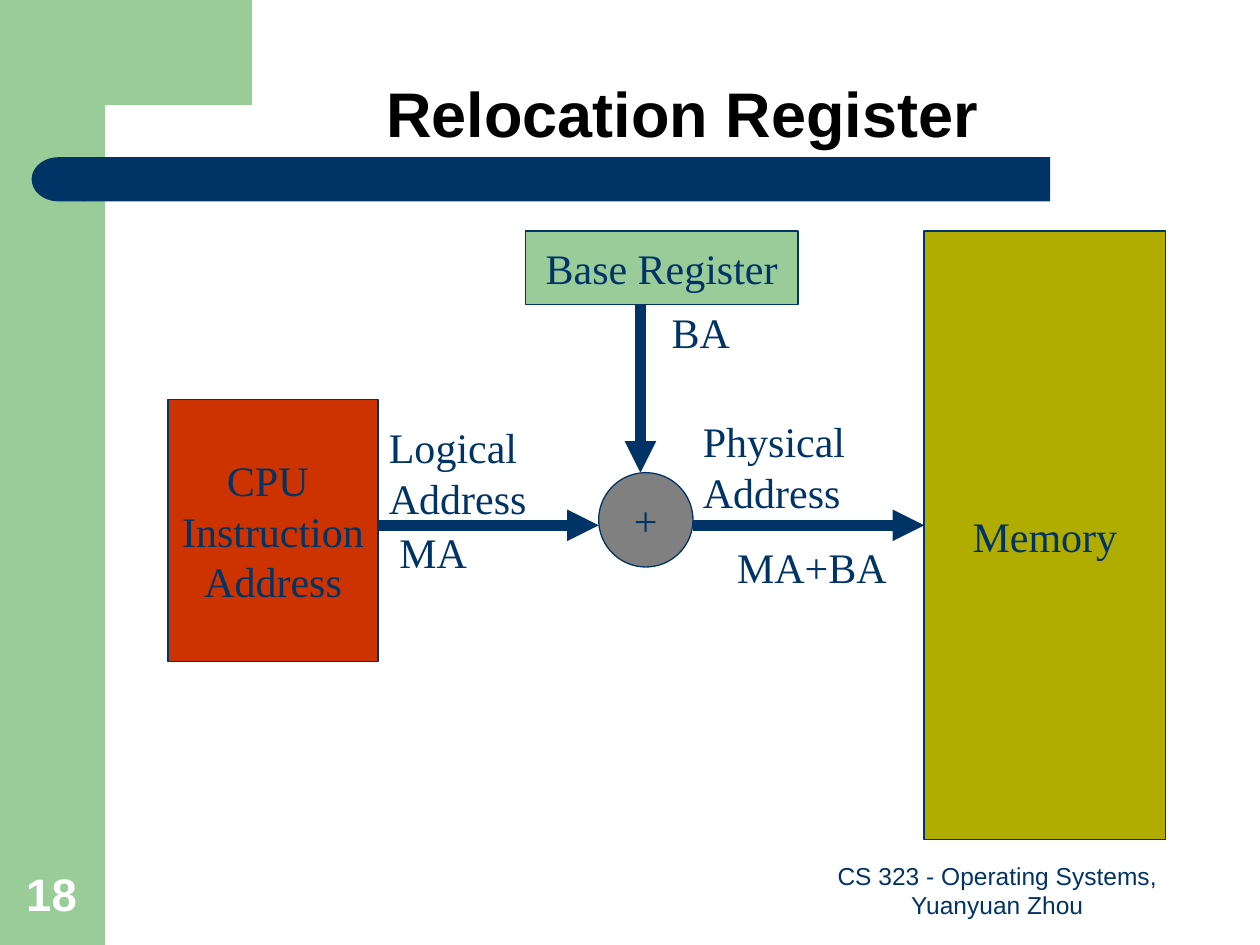
from collections import namedtuple
from dataclasses import dataclass

from lxml.etree import SubElement
from pptx import Presentation
from pptx.dml.color import RGBColor
from pptx.enum.shapes import MSO_CONNECTOR as CONN, MSO_SHAPE as SHAPE
from pptx.enum.text import MSO_ANCHOR as ANCHOR, MSO_AUTO_SIZE as AUTO, PP_ALIGN as ALIGN
from pptx.oxml.ns import qn
from pptx.util import Cm, Pt

Box = namedtuple("Box", "x y w h")  # centimetres


@dataclass(frozen=True)
class Theme:
    navy: str = "003366"
    green: str = "99CC99"
    olive: str = "B0AC00"
    red: str = "CC3300"
    gray: str = "808080"
    black: str = "000000"
    white: str = "FFFFFF"
    sans: str = "Arial"
    serif: str = "Times New Roman"
    title_size: int = 36
    body_size: int = 24
    footer_size: int = 14
    number_size: int = 26
    outline: float = 0.75
    arrow: float = 6


T = Theme()


def rgb(color):
    return RGBColor.from_string(color)


def place(box, x, y, w, h):
    """Turn a position inside box into slide lengths."""
    return Cm(box.x + x), Cm(box.y + y), Cm(w), Cm(h)


def write(tf, text, size=T.body_size, font=T.serif, color=T.navy,
          bold=False, align=ALIGN.LEFT, anchor=ANCHOR.TOP, wrap=False):
    tf.text = text
    tf.word_wrap = wrap
    tf.vertical_anchor = anchor
    for p in tf.paragraphs:
        p.alignment = align
        p.font.name, p.font.size, p.font.bold = font, Pt(size), bold
        p.font.color.rgb = rgb(color)


def paint(sp, fill, line=None):
    sp.shadow.inherit = False
    sp.fill.solid()
    sp.fill.fore_color.rgb = rgb(fill)
    if line:
        sp.line.color.rgb = rgb(line)
        sp.line.width = Pt(T.outline)
    else:
        sp.line.fill.background()


def add_arrow(slide, box, x1, y1, x2, y2):
    ln = slide.shapes.add_connector(CONN.STRAIGHT, *place(box, x1, y1, 0, 0)[:2],
                                    *place(box, x2, y2, 0, 0)[:2])
    ln.line.color.rgb = rgb(T.navy)
    ln.line.width = Pt(T.arrow)
    props = ln._element.spPr
    SubElement(props.find(qn("a:ln")), qn("a:tailEnd"), type="triangle")
    SubElement(props, qn("a:effectLst"))


def add_backdrop(slide, box):
    # Side band
    side = 2.12
    paint(slide.shapes.add_shape(SHAPE.RECTANGLE, *place(box, 0, 0, side, box.h)), T.green)

    # Corner block with a rounded inner edge
    outline = [(1.27, 0), (5.08, 0), (5.08, 2.12), (2.12, 2.12), (1.95, 2.16),
               (1.8, 2.34), (1.73, 2.64), (1.7, 2.95), (1.7, 3.25), (1.27, 3.25)]
    points = [place(box, x, y, 0, 0)[:2] for x, y in outline]
    builder = slide.shapes.build_freeform(*points[0])
    builder.add_line_segments(points[1:], close=True)
    paint(builder.convert_to_shape(), T.green)

    # Title bar and its round end
    y, h = 3.17, 0.89
    paint(slide.shapes.add_shape(SHAPE.RECTANGLE, *place(box, 1.69, y, 19.48, h)), T.navy)
    end = slide.shapes.add_shape(SHAPE.FLOWCHART_DELAY, *place(box, 0.64, y, 1.08, h))
    paint(end, T.navy)
    end._element.spPr.xfrm.set("flipH", "1")


def add_title(slide, box, text):
    sp = slide.shapes.title
    sp.left, sp.top, sp.width, sp.height = place(box, 0, 0, box.w, box.h)
    tf = sp.text_frame
    write(tf, text, T.title_size, T.sans, T.black, True, ALIGN.CENTER, ANCHOR.BOTTOM, True)
    tf.auto_size = AUTO.NONE
    tf.paragraphs[0].line_spacing = 0.9


def add_diagram(slide, box):
    # Units
    memory = Box(15.24, 0, 4.87, box.h)
    base = Box(7.2, 0, 5.5, 1.48)
    cpu = Box(0, 3.39, 4.23, 5.29)
    adder = Box(8.68, 4.87, 1.9, 1.9)
    for kind, at, fill, text in [
        (SHAPE.RECTANGLE, memory, T.olive, "Memory"),
        (SHAPE.RECTANGLE, base, T.green, "Base Register"),
        (SHAPE.RECTANGLE, cpu, T.red, "CPU \nInstruction\nAddress"),
        (SHAPE.OVAL, adder, T.gray, "+"),
    ]:
        sp = slide.shapes.add_shape(kind, *place(box, *at))
        paint(sp, fill, T.navy)
        write(sp.text_frame, text, align=ALIGN.CENTER, anchor=ANCHOR.MIDDLE)

    # Address flow
    flow_y, base_x = 5.93, 9.52
    add_arrow(slide, box, cpu.x + cpu.w, flow_y, adder.x, flow_y)
    add_arrow(slide, box, adder.x + adder.w, flow_y, memory.x, flow_y)
    add_arrow(slide, box, base_x, base.y + base.h, base_x, adder.y)

    # Arrow labels, each box a little wider than its text
    for x, y, w, h, text in [
        (9.9, 1.39, 1.75, 1.27, "BA"),
        (4.41, 5.83, 2, 1.27, "MA"),
        (11.22, 6.14, 3.6, 1.27, "MA+BA"),
        (10.53, 3.6, 3.45, 2.29, "Physical\nAddress"),
        (4.2, 3.72, 3.35, 2.29, "Logical\nAddress"),
    ]:
        tf = slide.shapes.add_textbox(*place(box, x, y, w, h)).text_frame
        write(tf, text)
        tf.auto_size = AUTO.SHAPE_TO_FIT_TEXT


def add_footer(slide, box, text, number):
    sp = slide.shapes.add_textbox(*place(box, 15.8, 0, 8.05, 1.32))
    write(sp.text_frame, text, T.footer_size, T.sans,
          align=ALIGN.CENTER, anchor=ANCHOR.BOTTOM, wrap=True)
    sp = slide.shapes.add_textbox(*place(box, 0, 0, 1.63, 1.33))
    write(sp.text_frame, number, T.number_size, T.sans, T.white, True,
          anchor=ANCHOR.BOTTOM, wrap=True)


def main():
    prs = Presentation()
    prs.slide_width, prs.slide_height = Cm(25.4), Cm(19.05)
    slide = prs.slides.add_slide(prs.slide_layouts[5])
    slide.background.fill.solid()
    slide.background.fill.fore_color.rgb = rgb(T.white)

    add_backdrop(slide, Box(0, 0, 25.4, 19.05))
    add_title(slide, Box(2.75, 0, 22.01, 3.18), "Relocation Register")
    # The title stands in front of the backdrop
    slide.shapes._spTree.append(slide.shapes.title._element)
    add_diagram(slide, Box(3.39, 4.66, 20.11, 12.27))
    add_footer(slide, Box(0.28, 17.35, 23.85, 1.33),
               "CS 323 - Operating Systems, Yuanyuan Zhou", "18")
    prs.save("out.pptx")


if __name__ == "__main__":
    main()
